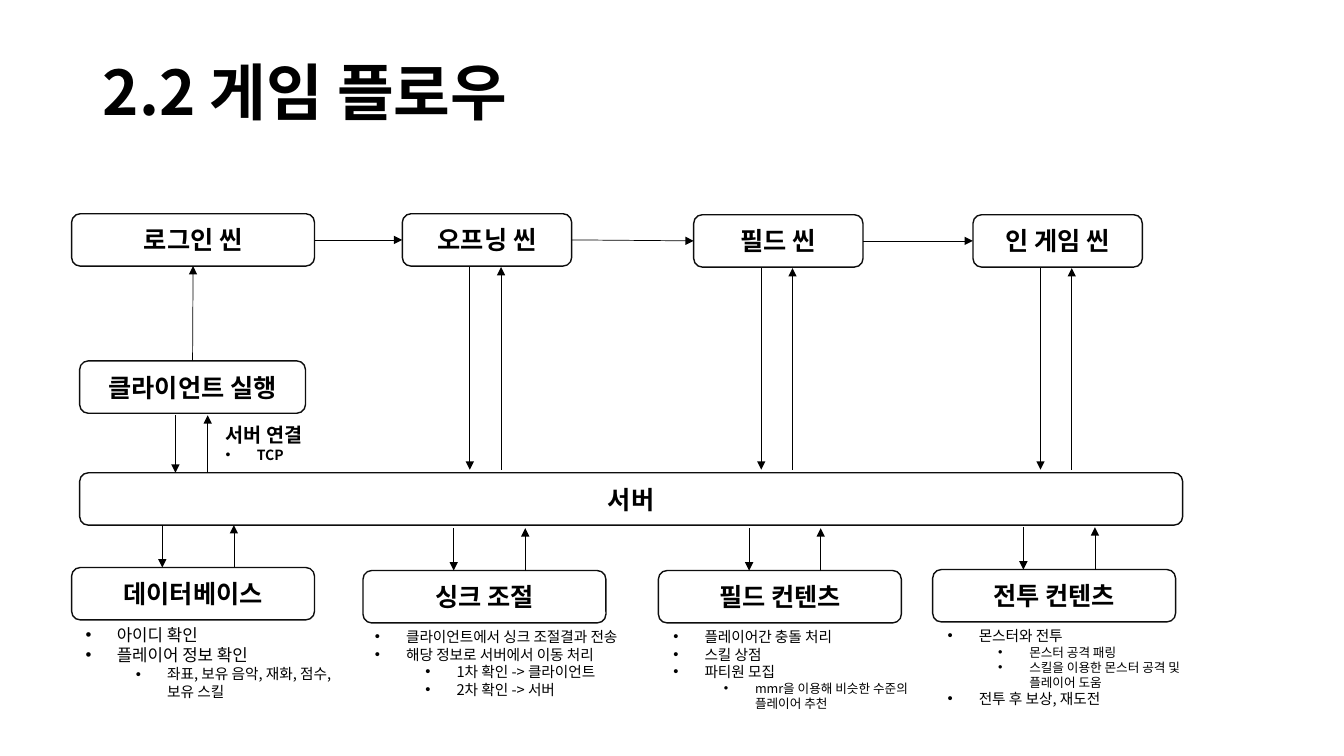
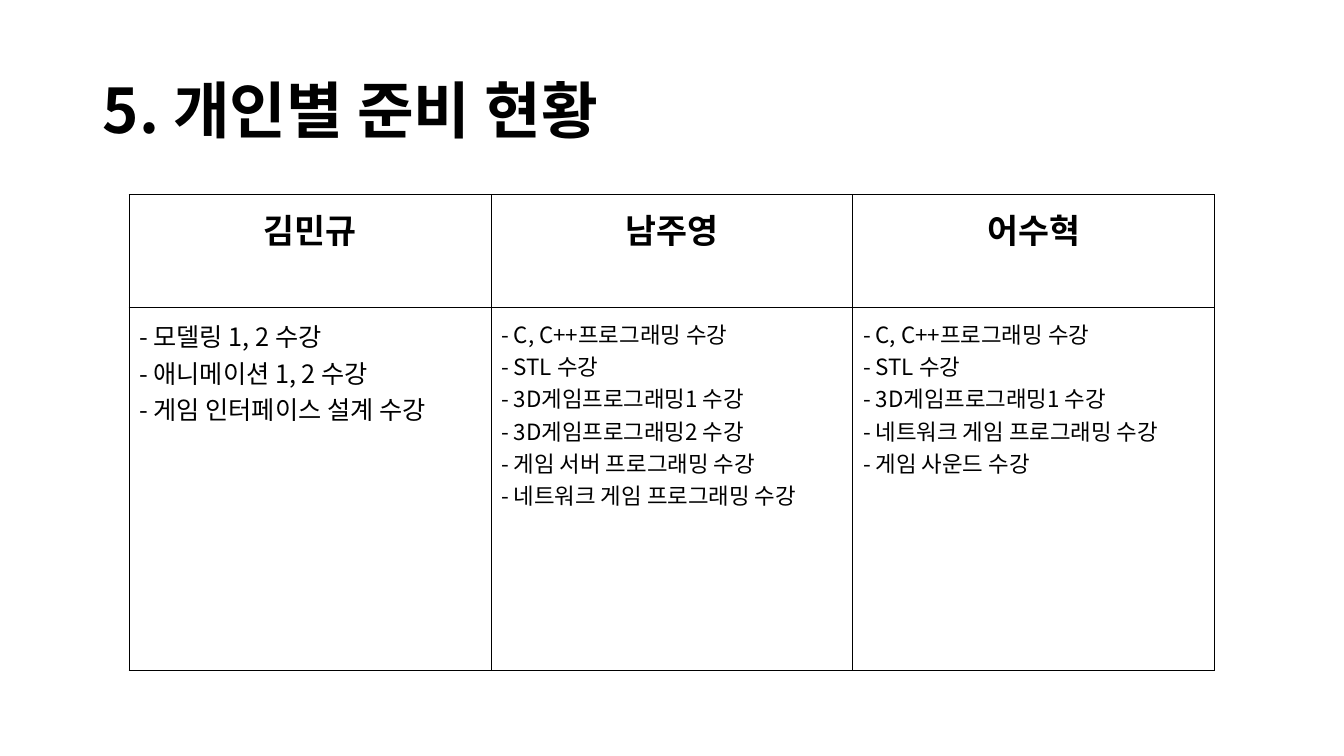
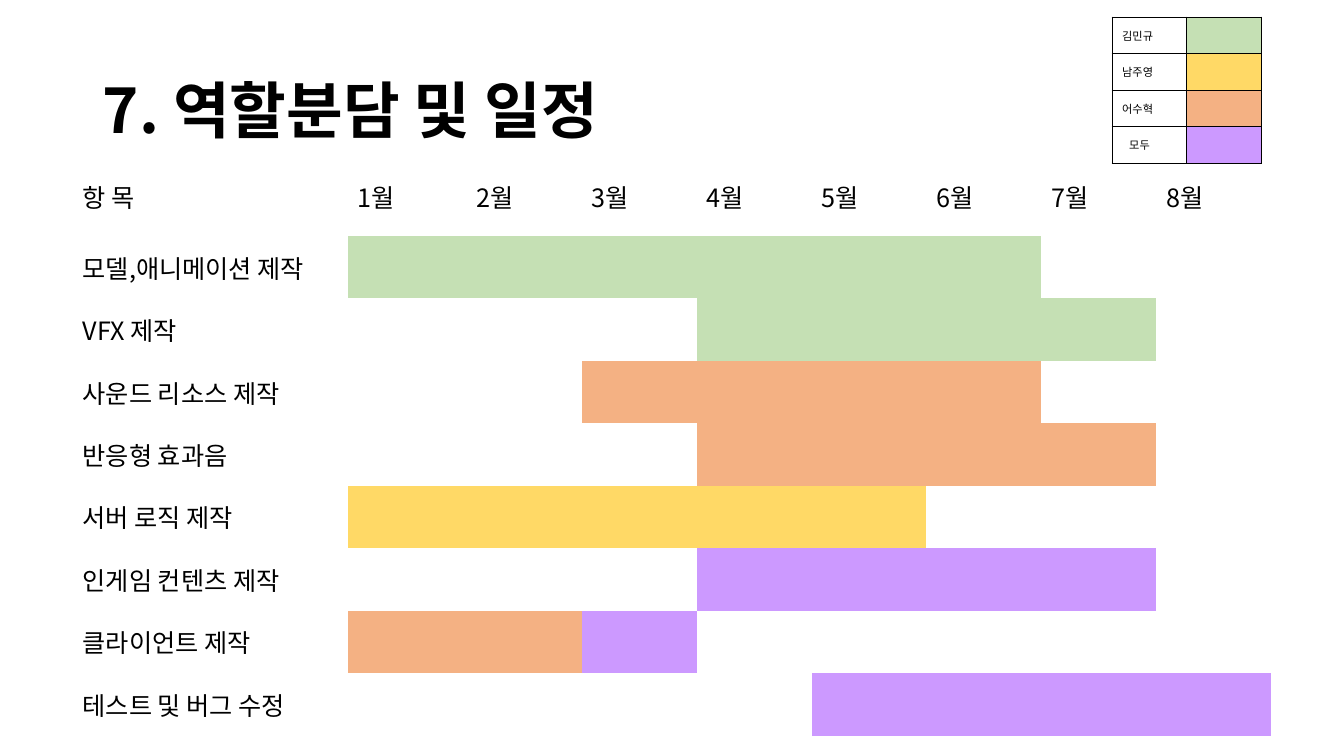
from copy import deepcopy
from dataclasses import dataclass

from lxml import etree
from pptx import Presentation
from pptx.dml.color import RGBColor
from pptx.enum.shapes import MSO_CONNECTOR, MSO_SHAPE
from pptx.enum.text import MSO_ANCHOR, MSO_AUTO_SIZE, PP_ALIGN
from pptx.oxml.ns import qn
from pptx.util import Emu, Pt

LEFT, CENTER = PP_ALIGN.LEFT, PP_ALIGN.CENTER
TOP, MIDDLE = MSO_ANCHOR.TOP, MSO_ANCHOR.MIDDLE
ROUNDED = MSO_SHAPE.ROUNDED_RECTANGLE
STRAIGHT = MSO_CONNECTOR.STRAIGHT
TOP_SITE, LEFT_SITE, BOTTOM_SITE, RIGHT_SITE = range(4)
TITLE_ONLY = 5
NO_STYLE_NO_GRID = "{2D5ABB26-0587-4C30-8999-92F81FD0307C}"
EMU_PER_PX = 9144


@dataclass(frozen=True)
class Theme:
    font: str = "Noto Sans CJK KR"
    ink: str = "000000"
    outline: str = "0D0D0D"
    green: str = "C5E0B4"
    yellow: str = "FFD966"
    orange: str = "F4B183"
    violet: str = "CC99FF"
    title: float = 44
    name: float = 24
    body: float = 18
    course: float = 16
    label: float = 14
    note: float = 12
    small: float = 10.5
    protocol: float = 10
    tiny: float = 9
    legend: float = 8


THEME = Theme()

BOX_HEIGHT = 52
SCENES = [
    ("로그인 씬", 71, 212, 241),
    ("오프닝 씬", 399, 212, 168),
    ("필드 씬", 688, 213, 168),
    ("인 게임 씬", 965, 213, 168),
]
CONTENTS = [
    ("데이터베이스", 71, 563, 4, 288, [
        ("아이디 확인", 0, THEME.note),
        ("플레이어 정보 확인", 0, THEME.note),
        ("좌표, 보유 음악, 재화, 점수, 보유 스킬", 1, THEME.small),
    ]),
    ("싱크 조절", 360, 566, 2, 298, [
        ("클라이언트에서 싱크 조절결과 전송", 0, THEME.small),
        ("해당 정보로 서버에서 이동 처리", 0, THEME.small),
        ("1차 확인 -> 클라이언트", 1, THEME.small),
        ("2차 확인 -> 서버", 1, THEME.small),
    ]),
    ("필드 컨텐츠", 653, 566, 5, 298, [
        ("플레이어간 충돌 처리", 0, THEME.small),
        ("스킬 상점", 0, THEME.small),
        ("파티원 모집", 0, THEME.small),
        ("mmr을 이용해 비슷한 수준의\n플레이어 추천", 1, THEME.tiny),
    ]),
    ("전투 컨텐츠", 925, 565, 5, 298, [
        ("몬스터와 전투", 0, THEME.small),
        ("몬스터 공격 패링", 1, THEME.tiny),
        ("스킬을 이용한 몬스터 공격 및\n플레이어 도움", 1, THEME.tiny),
        ("전투 후 보상, 재도전", 0, THEME.small),
    ]),
]
MEMBERS = [
    ("김민규", THEME.body, [
        "- 모델링 1, 2 수강",
        "- 애니메이션 1, 2 수강",
        "- 게임 인터페이스 설계 수강",
    ]),
    ("남주영", THEME.course, [
        "- C, C++프로그래밍 수강",
        "- STL 수강",
        "- 3D게임프로그래밍1 수강",
        "- 3D게임프로그래밍2 수강",
        "- 게임 서버 프로그래밍 수강",
        "- 네트워크 게임 프로그래밍 수강",
    ]),
    ("어수혁", THEME.course, [
        "- C, C++프로그래밍 수강",
        "- STL 수강",
        "- 3D게임프로그래밍1 수강",
        "- 네트워크 게임 프로그래밍 수강",
        "- 게임 사운드 수강",
    ]),
]
OWNERS = [
    ("김민규", THEME.green, 10),
    ("남주영", THEME.yellow, 10),
    ("어수혁", THEME.orange, 10),
    ("모두", THEME.violet, 17),
]
MONTHS = 8
TASKS = [
    ("모델,애니메이션 제작", [(THEME.green, 1, 6)]),
    ("VFX 제작", [(THEME.green, 4, 7)]),
    ("사운드 리소스 제작", [(THEME.orange, 3, 6)]),
    ("반응형 효과음", [(THEME.orange, 4, 7)]),
    ("서버 로직 제작", [(THEME.yellow, 1, 5)]),
    ("인게임 컨텐츠 제작", [(THEME.violet, 4, 7)]),
    ("클라이언트 제작", [(THEME.orange, 1, 2), (THEME.violet, 3, 3)]),
    ("테스트 및 버그 수정", [(THEME.violet, 5, 8)]),
]


def px(value):
    return Emu(value * EMU_PER_PX)


def rgb(color):
    return RGBColor.from_string(color)


def write(paragraph, text, size=THEME.body, bold=False, align=LEFT,
          spacing=None, bullet_level=None):
    paragraph.text = text
    paragraph.alignment = align
    if spacing:
        paragraph.line_spacing = spacing
    for run in paragraph.runs:
        run.font.name = THEME.font
        run.font.size = Pt(size)
        run.font.bold = bold
        run.font.color.rgb = rgb(THEME.ink)
        properties = run.font._element
        latin = properties.find(qn("a:latin"))
        latin.addnext(latin.makeelement(qn("a:ea"), {"typeface": THEME.font}))
    for line_break in paragraph._p.findall(qn("a:br")):
        line_break.insert(0, deepcopy(paragraph.runs[0].font._element))
    if not text:
        etree.SubElement(paragraph._p, qn("a:endParaRPr"), sz=str(int(size * 100)))
    if bullet_level is not None:
        paragraph.level = bullet_level
        properties = paragraph._p.get_or_add_pPr()
        properties.set("marL", str(px(31 + 50 * bullet_level)))
        properties.set("indent", str(px(-31)))
        etree.SubElement(properties, qn("a:buFont"), typeface="Arial")
        etree.SubElement(properties, qn("a:buChar"), char="•")


def next_paragraph(frame, index):
    return frame.add_paragraph() if index else frame.paragraphs[0]


def add_titled_slide(presentation, text, height=145):
    slide = presentation.slides.add_slide(presentation.slide_layouts[TITLE_ONLY])
    title = slide.shapes.title
    title.left, title.top, title.width, title.height = map(px, (92, 40, 1150, height))
    frame = title.text_frame
    frame.auto_size = MSO_AUTO_SIZE.NONE
    frame.vertical_anchor = MIDDLE
    write(frame.paragraphs[0], text, size=THEME.title, bold=True, spacing=0.9)
    return slide


def add_box(slide, text, left, top, width):
    box = slide.shapes.add_shape(ROUNDED, *map(px, (left, top, width, BOX_HEIGHT)))
    box.shadow.inherit = False
    box.fill.background()
    box.line.color.rgb = rgb(THEME.outline)
    box.line.width = Pt(1)
    box.text_frame.vertical_anchor = MIDDLE
    write(box.text_frame.paragraphs[0], text, bold=True, align=CENTER)
    return box


def add_arrow(slide, start_x=0, start_y=0, end_x=0, end_y=0):
    arrow = slide.shapes.add_connector(
        STRAIGHT, *map(px, (start_x, start_y, end_x, end_y)))
    arrow.line.color.rgb = rgb(THEME.ink)
    arrow.line.width = Pt(0.5)
    etree.SubElement(arrow.line._get_or_add_ln(), qn("a:tailEnd"), type="triangle")
    etree.SubElement(arrow._element.spPr, qn("a:effectLst"))
    return arrow


def link_boxes(slide, source, source_site, target, target_site):
    arrow = add_arrow(slide)
    arrow.begin_connect(source, source_site)
    arrow.end_connect(target, target_site)


def add_exchange(slide, down_x, up_x, top, bottom):
    add_arrow(slide, down_x, top, down_x, bottom)
    add_arrow(slide, up_x, bottom, up_x, top)


def add_notes(slide, left, top, width, height, items, bold=False):
    box = slide.shapes.add_textbox(*map(px, (left, top, width, height)))
    box.text_frame.word_wrap = True
    for index, (text, level, size) in enumerate(items):
        write(next_paragraph(box.text_frame, index), text, size=size, bold=bold,
              bullet_level=level)


def add_plain_table(slide, left, top, widths, heights):
    frame = slide.shapes.add_table(
        len(heights), len(widths),
        *map(px, (left, top, sum(widths), sum(heights))))
    table = frame.table
    table.first_row = table.horz_banding = False
    table._tbl.tblPr.find(qn("a:tableStyleId")).text = NO_STYLE_NO_GRID
    for column, width in zip(table.columns, widths):
        column.width = px(width)
    for row, height in zip(table.rows, heights):
        row.height = px(height)
    return table


def set_borders(cell, color):
    properties = cell._tc.get_or_add_tcPr()
    for index, side in enumerate(("a:lnL", "a:lnR", "a:lnT", "a:lnB")):
        line = properties.makeelement(qn(side), {"w": str(Pt(0.75) if color else 0)})
        properties.insert(index, line)
        if color:
            fill = etree.SubElement(line, qn("a:solidFill"))
            etree.SubElement(fill, qn("a:srgbClr"), val=color)
        else:
            etree.SubElement(line, qn("a:noFill"))


def fill_cell(cell, lines=("",), fill=None, border=None, anchor=TOP,
              left=10, inset=10, **text_format):
    cell.margin_left, cell.margin_right = px(left), px(10)
    cell.margin_top = cell.margin_bottom = px(inset)
    cell.vertical_anchor = anchor
    if fill:
        cell.fill.solid()
        cell.fill.fore_color.rgb = rgb(fill)
    else:
        cell.fill.background()
    set_borders(cell, border)
    for index, line in enumerate(lines):
        write(next_paragraph(cell.text_frame, index), line, **text_format)


def build_game_flow(presentation):
    slide = add_titled_slide(presentation, "2.2 게임 플로우", height=110)
    client = add_box(slide, "클라이언트 실행", 79, 358, 224)
    add_box(slide, "서버", 79, 469, 1094)
    scenes = [add_box(slide, *scene) for scene in SCENES]
    for source, target in zip(scenes, scenes[1:]):
        link_boxes(slide, source, RIGHT_SITE, target, LEFT_SITE)
    link_boxes(slide, client, TOP_SITE, scenes[0], BOTTOM_SITE)
    for _, left, top, _ in SCENES[1:]:
        add_exchange(slide, left + 67, left + 98, top + BOX_HEIGHT + 1, 466)
    add_exchange(slide, 174, 206, 412, 469)
    add_notes(slide, 214, 415, 112, 50,
              [("서버 연결", None, THEME.label), ("TCP", 0, THEME.protocol)], bold=True)
    for name, left, top, shift, width, items in CONTENTS:
        add_box(slide, name, left, top, 241)
        add_exchange(slide, left + 90, left + 161, top - 42, top)
        add_notes(slide, left + shift, top + BOX_HEIGHT, width, 90, items)


def build_preparation(presentation):
    slide = add_titled_slide(presentation, "5. 개인별 준비 현황")
    table = add_plain_table(slide, 128, 193, [359] * len(MEMBERS), [112, 360])
    for column, (name, size, courses) in enumerate(MEMBERS):
        fill_cell(table.cell(0, column), [name], border=THEME.ink,
                  size=THEME.name, bold=True, align=CENTER)
        fill_cell(table.cell(1, column), courses, border=THEME.ink, size=size)


def build_schedule(presentation):
    slide = add_titled_slide(presentation, "7. 역할분담 및 일정")
    table = add_plain_table(slide, 72, 156, [273, 118] + [114] * (MONTHS - 1),
                            [78] + [62] * len(TASKS))
    headings = ["항 목"] + [f"{month}월" for month in range(1, MONTHS + 1)]
    for column, heading in enumerate(headings):
        fill_cell(table.cell(0, column), [heading], anchor=MIDDLE, inset=5)
    for row, (task, bars) in enumerate(TASKS, 1):
        fill_cell(table.cell(row, 0), [task], anchor=MIDDLE, inset=5)
        colors = {month: color for color, first, last in bars
                  for month in range(first, last + 1)}
        for month in range(1, MONTHS + 1):
            fill_cell(table.cell(row, month), fill=colors.get(month), inset=5)
    legend = add_plain_table(slide, 1103, 17, [74, 74], [36] * len(OWNERS))
    for row, (owner, color, left) in enumerate(OWNERS):
        fill_cell(legend.cell(row, 0), [owner], border=THEME.ink, left=left,
                  size=THEME.legend)
        fill_cell(legend.cell(row, 1), fill=color, border=THEME.ink,
                  size=THEME.legend)


def main():
    presentation = Presentation()
    presentation.slide_width, presentation.slide_height = px(1333), px(750)
    build_game_flow(presentation)
    build_preparation(presentation)
    build_schedule(presentation)
    presentation.save("out.pptx")


if __name__ == "__main__":
    main()
